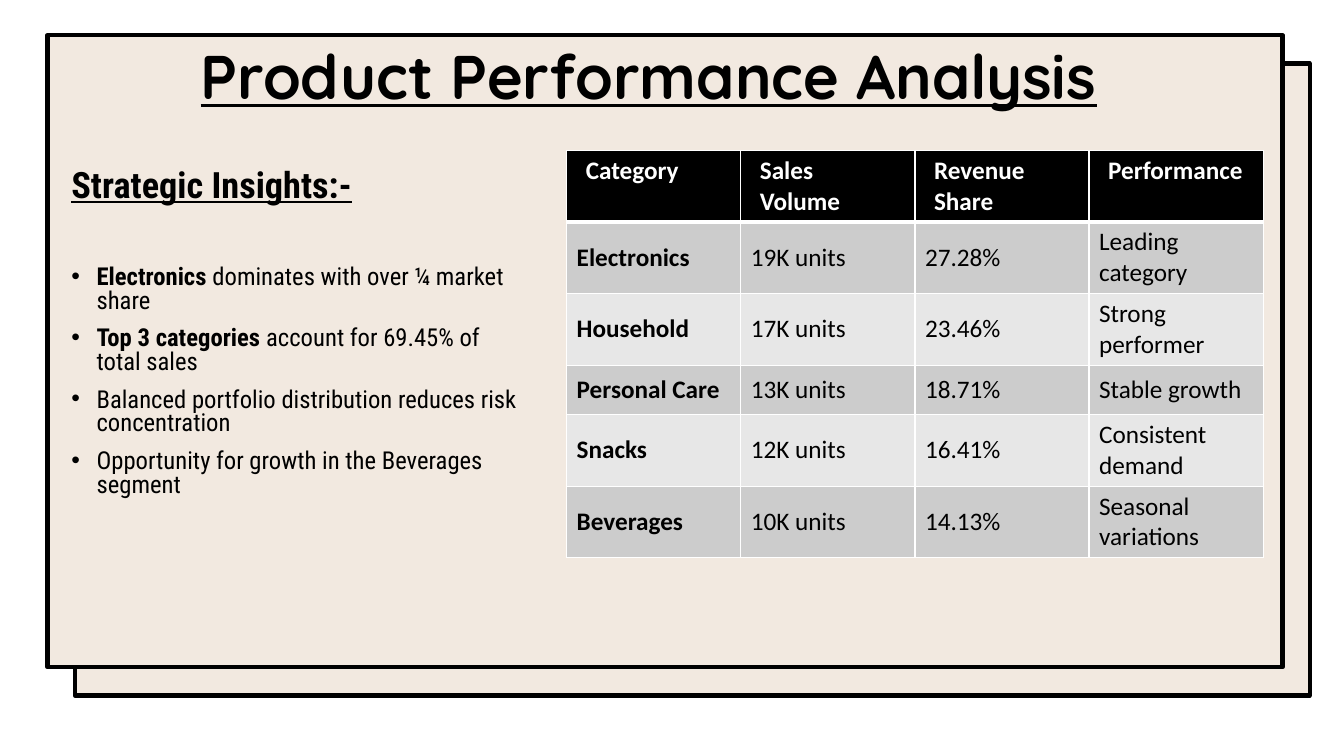
from lxml import etree
from pptx import Presentation
from pptx.dml.color import RGBColor
from pptx.enum.shapes import MSO_SHAPE
from pptx.enum.text import MSO_ANCHOR, MSO_AUTO_SIZE, PP_ALIGN
from pptx.oxml.ns import qn
from pptx.util import Inches, Pt

RECT = MSO_SHAPE.RECTANGLE
TOP, MIDDLE = MSO_ANCHOR.TOP, MSO_ANCHOR.MIDDLE
NO_FIT = MSO_AUTO_SIZE.NONE
CENTER, LEFT = PP_ALIGN.CENTER, PP_ALIGN.LEFT

BLACK, WHITE, CREAM = "000000", "FFFFFF", "F2E9E0"
BANDS = ["CCCCCC", "E7E7E7"]

TITLE = {"name": "Quicksand", "size": Pt(44), "bold": True, "underline": True}
HEAD = {"name": "Roboto Condensed", "size": Pt(25.9), "bold": True, "underline": True}
BODY = {"name": "Roboto Condensed", "size": Pt(17.6), "bold": False}
CELL = {"name": "Calibri", "size": Pt(18), "bold": False}

ROWS = [
    ["Category", "Sales Volume", "Revenue Share", "Performance"],
    ["Electronics", "19K units", "27.28%", "Leading category"],
    ["Household", "17K units", "23.46%", "Strong performer"],
    ["Personal Care", "13K units", "18.71%", "Stable growth"],
    ["Snacks", "12K units", "16.41%", "Consistent demand"],
    ["Beverages", "10K units", "14.13%", "Seasonal variations"],
]
# Each insight: bold lead, plain rest
POINTS = [
    ("Electronics", " dominates with over ¼ market share"),
    ("Top 3 categories", " account for 69.45% of total sales"),
    ("", "Balanced portfolio distribution reduces risk concentration"),
    ("", "Opportunity for growth in the Beverages segment"),
]


def color(code):
    return RGBColor.from_string(code)


def style(item, values):
    for key, value in values.items():
        setattr(item, key, value)


def add_run(para, text, font, code=BLACK, **extra):
    run = para.add_run()
    run.text = text
    style(run.font, {**font, **extra})
    run.font.color.rgb = color(code)


def add_panel(slide, left, top):
    panel = slide.shapes.add_shape(
        RECT, Inches(left), Inches(top), Inches(12.25), Inches(6.27))
    panel.shadow.inherit = False
    panel.fill.solid()
    panel.fill.fore_color.rgb = color(CREAM)
    panel.line.color.rgb = color(BLACK)
    panel.line.width = Pt(3)
    # Keep panels behind the title
    slide.shapes.title.element.addprevious(panel.element)


def set_title(slide, text):
    title = slide.shapes.title
    style(title, {"left": Inches(0.92), "top": Inches(0.35),
                  "width": Inches(11.03), "height": Inches(0.87)})
    style(title.text_frame, {"vertical_anchor": MIDDLE, "word_wrap": True,
                             "auto_size": NO_FIT})
    para = title.text_frame.paragraphs[0]
    style(para, {"alignment": CENTER, "line_spacing": 0.9})
    add_run(para, text, TITLE)


def add_bullet(para):
    props = para._p.get_or_add_pPr()
    props.set("marL", str(Inches(0.25)))
    props.set("indent", str(-Inches(0.25)))
    tint = etree.SubElement(props, qn("a:buClr"))
    etree.SubElement(tint, qn("a:srgbClr"), val=BLACK)
    etree.SubElement(props, qn("a:buFont"), typeface="Arial")
    etree.SubElement(props, qn("a:buChar"), char="•")


def add_notes(slide):
    box = slide.shapes.add_textbox(
        Inches(0.61), Inches(1.64), Inches(4.7), Inches(3.41))
    frame = box.text_frame
    style(frame, {"word_wrap": True, "vertical_anchor": TOP, "auto_size": NO_FIT})
    space = {"alignment": LEFT, "line_spacing": 0.8, "space_before": Pt(10)}
    head = frame.paragraphs[0]
    style(head, {**space, "space_after": Pt(34)})
    add_run(head, "Strategic Insights:-", HEAD)
    for lead, rest in POINTS:
        para = frame.add_paragraph()
        style(para, space)
        add_bullet(para)
        if lead:
            add_run(para, lead, BODY, bold=True)
        add_run(para, rest, BODY)


def add_edges(cell, widths):
    props = cell._tc.get_or_add_tcPr()
    for side, width in widths.items():
        edge = etree.SubElement(props, qn(f"a:ln{side}"), w=str(Pt(width)))
        fill = etree.SubElement(edge, qn("a:solidFill"))
        etree.SubElement(fill, qn("a:srgbClr"), val=WHITE)


def fill_cell(cell, text, row, col):
    top = row == 0
    add_edges(cell, {"L": 0.96, "R": 0.96,
                     "T": 3 if row == 1 else 0.96, "B": 3 if top else 0.96})
    cell.fill.solid()
    cell.fill.fore_color.rgb = color(BLACK if top else BANDS[(row - 1) % 2])
    side = Inches(0.19 if top else 0.1)
    style(cell, {"margin_left": side, "margin_right": side,
                 "vertical_anchor": TOP if top else MIDDLE})
    add_run(cell.text_frame.paragraphs[0], text, CELL,
            WHITE if top else BLACK, bold=top or col == 0)


def add_grid(slide):
    table = slide.shapes.add_table(
        len(ROWS), len(ROWS[0]), Inches(5.62), Inches(1.49),
        Inches(6.91), Inches(3.13)).table
    for row, texts in enumerate(ROWS):
        table.rows[row].height = Inches(0.49 if row else 0.68)
        for col, text in enumerate(texts):
            fill_cell(table.cell(row, col), text, row, col)


def main():
    deck = Presentation()
    style(deck, {"slide_width": Inches(13.33), "slide_height": Inches(7.5)})
    slide = deck.slides.add_slide(deck.slide_layouts.get_by_name("Title Only"))
    # Stacked panels and title
    add_panel(slide, 0.74, 0.63)
    add_panel(slide, 0.47, 0.35)
    set_title(slide, "Product Performance Analysis")
    # Table and insights
    add_grid(slide)
    add_notes(slide)
    deck.save("out.pptx")


if __name__ == "__main__":
    main()
